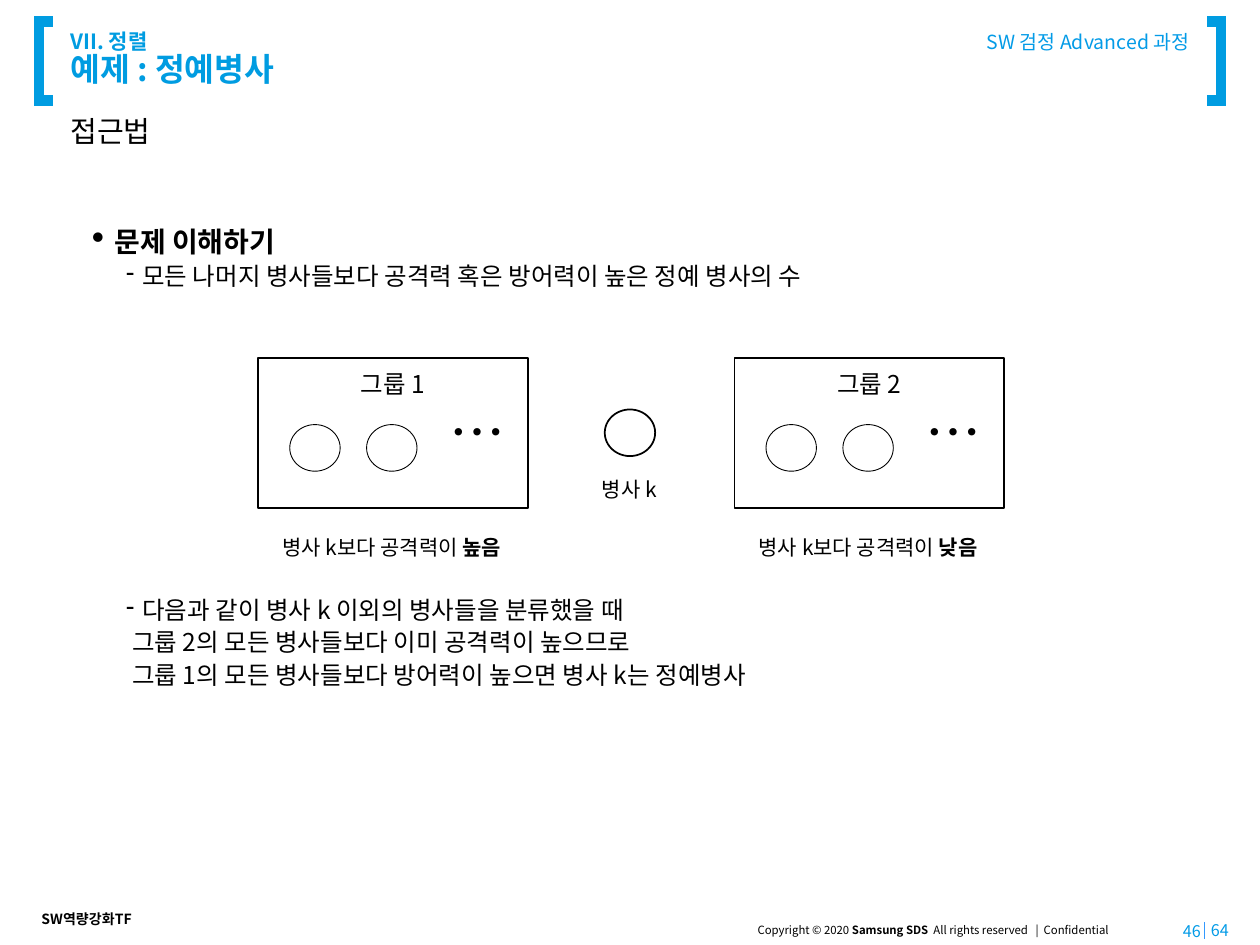
from dataclasses import dataclass

from pptx import Presentation
from pptx.dml.color import RGBColor
from pptx.enum.shapes import MSO_CONNECTOR, MSO_SHAPE
from pptx.enum.text import MSO_ANCHOR, PP_ALIGN
from pptx.oxml.ns import qn
from pptx.util import Inches, Pt
from lxml import etree

LEFT, CENTER, RIGHT = PP_ALIGN.LEFT, PP_ALIGN.CENTER, PP_ALIGN.RIGHT
TOP, MIDDLE = MSO_ANCHOR.TOP, MSO_ANCHOR.MIDDLE
RECTANGLE, OVAL = MSO_SHAPE.RECTANGLE, MSO_SHAPE.OVAL
STRAIGHT = MSO_CONNECTOR.STRAIGHT


@dataclass(frozen=True)
class Theme:
    font: str = "Noto Sans CJK KR"
    accent: RGBColor = RGBColor(0x00, 0x9C, 0xE1)
    light_accent: RGBColor = RGBColor(0x03, 0x9B, 0xE7)
    divider: RGBColor = RGBColor(0x33, 0x99, 0xFF)
    black: RGBColor = RGBColor(0, 0, 0)
    white: RGBColor = RGBColor(0xFF, 0xFF, 0xFF)
    copyright: float = 6.5
    team: float = 8
    page: float = 9.2
    course: float = 11.1
    caption: float = 12
    body: float = 14
    heading: float = 16
    subtitle: float = 16.6
    title: float = 18.5
    dots: float = 32
    heading_spacing: float = 0.88
    body_spacing: float = 0.83


THEME = Theme()


def style_paragraph(paragraph, size, color=THEME.black, bold=False, align=LEFT):
    paragraph.alignment = align
    font = paragraph.font
    font.name, font.size, font.bold = THEME.font, Pt(size), bold
    font.color.rgb = color
    # East Asian typeface follows the Latin one
    latin = paragraph._p.pPr.find(qn("a:defRPr")).find(qn("a:latin"))
    east_asian = etree.Element(qn("a:ea"), typeface=THEME.font)
    latin.addnext(east_asian)


def add_runs(paragraph, *parts):
    """Each part is a (text, bold) pair."""
    for text, bold in parts:
        run = paragraph.add_run()
        run.text = text
        run.font.bold = bold


def set_frame(frame, insets=(0.1, 0.05, 0.1, 0.05), anchor=TOP):
    frame.word_wrap = True
    frame.vertical_anchor = anchor
    (frame.margin_left, frame.margin_top,
     frame.margin_right, frame.margin_bottom) = map(Inches, insets)


def add_frame(slide, box, **options):
    frame = slide.shapes.add_textbox(*map(Inches, box)).text_frame
    set_frame(frame, **options)
    return frame


def add_label(slide, box, text, size, color=THEME.black, bold=False, align=LEFT,
              spacing=None, **options):
    paragraph = add_frame(slide, box, **options).paragraphs[0]
    paragraph.text = text
    paragraph.line_spacing = spacing
    style_paragraph(paragraph, size, color, bold, align)


def add_outlined(slide, kind, box, weight):
    shape = slide.shapes.add_shape(kind, *map(Inches, box))
    shape.shadow.inherit = False
    shape.fill.solid()
    shape.fill.fore_color.rgb = THEME.white
    shape.line.color.rgb = THEME.black
    shape.line.width = Pt(weight)
    return shape


def add_bracket(slide, tip, back):
    top, bottom = 0.17, 0.8
    points = [(tip, bottom), (back, bottom), (back, top), (tip, top)]
    (start_x, start_y), *rest = [(Inches(x), Inches(y)) for x, y in points]
    builder = slide.shapes.build_freeform(start_x, start_y)
    builder.add_line_segments(rest, close=False)
    bracket = builder.convert_to_shape()
    bracket.shadow.inherit = False
    bracket.fill.background()
    bracket.line.color.rgb = THEME.accent
    bracket.line.width = Pt(6)
    outline = bracket._element.spPr.find(qn("a:ln"))
    etree.SubElement(outline, qn("a:miter"), lim="800000")


def add_header(slide):
    add_bracket(slide, 0.42, 0.31)
    add_bracket(slide, 9.58, 9.69)

    title = add_frame(slide, (0.56, 0.22, 5.5, 0.51), anchor=MIDDLE,
                      insets=(0, 0.05, 0.1, 0.05)).paragraphs[0]
    title.text = "VII. 정렬\v예제 : 정예병사"
    title.line_spacing = THEME.heading_spacing
    style_paragraph(title, THEME.title, THEME.accent, bold=True)
    title.runs[0].font.size = Pt(THEME.caption)

    add_label(slide, (6.17, 0.21, 3.27, 0.39), "SW 검정 Advanced 과정", THEME.course,
              THEME.light_accent, align=RIGHT, spacing=THEME.heading_spacing,
              insets=(0, 0.05, 0, 0.05))
    add_label(slide, (0.56, 0.94, 8.87, 0.84), "접근법", THEME.subtitle,
              spacing=THEME.heading_spacing, insets=(0, 0, 0, 0))


def add_footer(slide):
    notice = add_frame(slide, (5.29, 7.28, 3.63, 0.21),
                       insets=(0, 0.05, 0.1, 0.05)).paragraphs[0]
    style_paragraph(notice, THEME.copyright, align=RIGHT)
    add_runs(notice, ("Copyright © 2020 ", False), ("Samsung SDS", True),
             ("  All rights reserved   |  Confidential ", False))

    divider = slide.shapes.add_connector(
        STRAIGHT, Inches(9.56), Inches(7.32), Inches(9.56), Inches(7.45))
    divider.line.color.rgb = THEME.divider
    divider.line.width = Pt(0.75)
    etree.SubElement(divider._element.spPr, qn("a:effectLst"))

    for left, top, number, align in ((9.18, 7.29, "46", RIGHT), (9.52, 7.28, "64", LEFT)):
        add_label(slide, (left, top, 0.44, 0.2), number, THEME.page, THEME.light_accent,
                  align=align, anchor=MIDDLE, insets=(0.09, 0.05, 0.09, 0.05))
    add_label(slide, (0.23, 7.18, 0.95, 0.24), "SW역량강화TF", THEME.team, bold=True)


def add_explanation(slide):
    frame = add_frame(slide, (0.73, 1.78, 8.71, 4), insets=(0, 0.05, 0, 0.05))
    diagram_gap = 172
    # text, size, bullet, bullet percent, left margin, hanging indent, space before
    points = [
        ("문제 이해하기", THEME.heading, "•", 130, 0.18, 0.18, 0),
        ("모든 나머지 병사들보다 공격력 혹은 방어력이 높은 정예 병사의 수",
         THEME.body, "-", 100, 0.4, 0.13, 0),
        ("다음과 같이 병사 k 이외의 병사들을 분류했을 때",
         THEME.body, "-", 100, 0.4, 0.13, diagram_gap),
        ("그룹 2의 모든 병사들보다 이미 공격력이 높으므로", THEME.body, None, 100, 0.32, 0, 0),
        ("그룹 1의 모든 병사들보다 방어력이 높으면 병사 k는 정예병사",
         THEME.body, None, 100, 0.32, 0, 0),
    ]
    for index, (text, size, bullet, percent, margin, hanging, before) in enumerate(points):
        paragraph = frame.add_paragraph() if index else frame.paragraphs[0]
        paragraph.text = text
        properties = paragraph._p.get_or_add_pPr()
        properties.set("marL", str(Inches(margin)))
        properties.set("indent", str(-Inches(hanging)))
        if bullet:
            etree.SubElement(properties, qn("a:buSzPct"), val=str(percent * 1000))
            etree.SubElement(properties, qn("a:buChar"), char=bullet)
        paragraph.line_spacing = THEME.body_spacing
        paragraph.space_before = Pt(before)
        paragraph.space_after = Pt(4.6)
        style_paragraph(paragraph, size, bold=size == THEME.heading)


def add_group(slide, left, name, comparison):
    group = add_outlined(slide, RECTANGLE, (left, 2.84, 2.14, 1.19), 1)
    set_frame(group.text_frame, insets=(0.1, 0.09, 0.1, 0.05))
    heading = group.text_frame.paragraphs[0]
    heading.text = name
    style_paragraph(heading, THEME.body, align=CENTER)

    for offset in (0.25, 0.86):
        add_outlined(slide, OVAL, (left + offset, 3.37, 0.4, 0.37), 0.5)
    add_label(slide, (left + 1.42, 3.24, 0.5, 0.37), "…", THEME.dots,
              align=CENTER, anchor=MIDDLE)

    caption = add_frame(slide, (left - 0.13, 4.19, 2.38, 0.3)).paragraphs[0]
    style_paragraph(caption, THEME.caption, align=CENTER)
    add_runs(caption, ("병사 k보다 공격력이 ", False), (comparison, True))


def main():
    deck = Presentation()
    deck.slide_width, deck.slide_height = Inches(10), Inches(7.5)
    slide = deck.slides.add_slide(deck.slide_layouts[6])

    add_header(slide)
    add_footer(slide)
    add_explanation(slide)

    # Soldier k between the stronger and the weaker group
    add_outlined(slide, OVAL, (4.8, 3.25, 0.4, 0.37), 1)
    add_label(slide, (4.5, 3.73, 0.99, 0.3), "병사 k", THEME.caption, align=CENTER)
    add_group(slide, 2.05, "그룹 1", "높음")
    add_group(slide, 5.83, "그룹 2", "낮음")

    deck.save("out.pptx")


if __name__ == "__main__":
    main()
